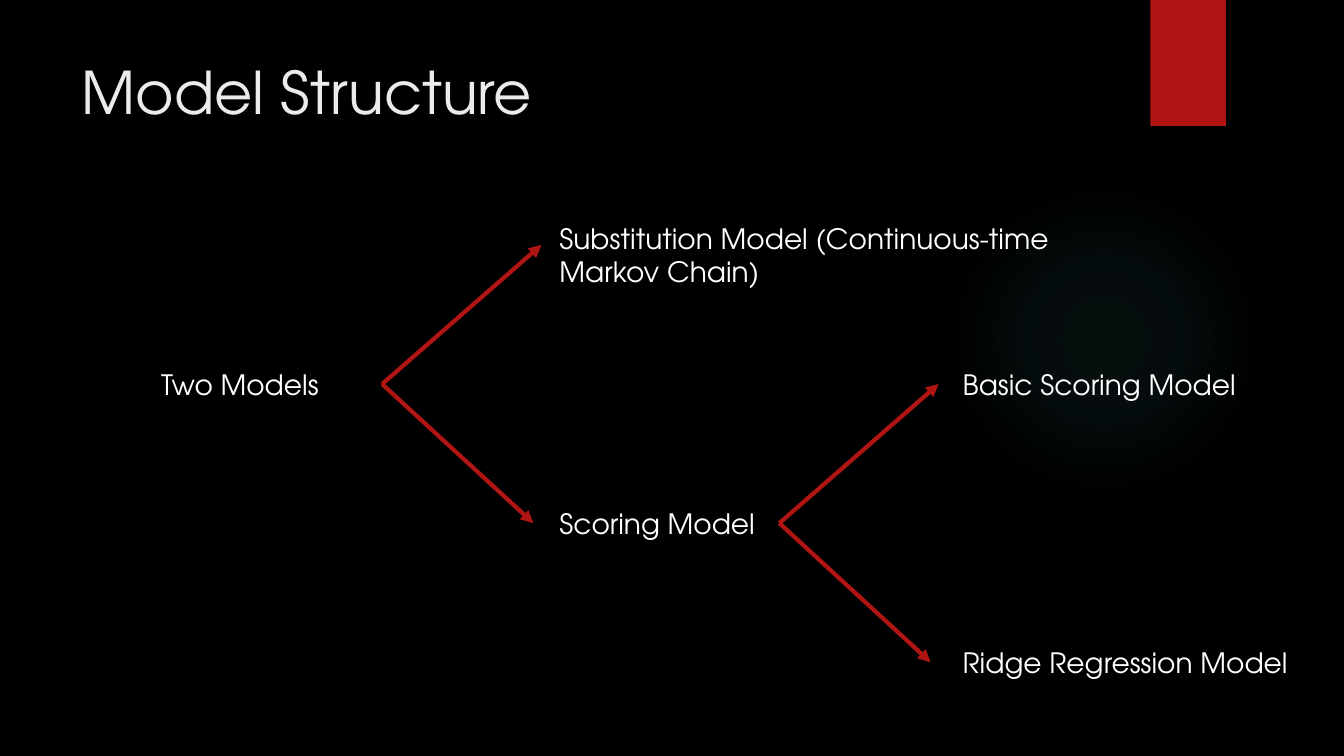
from dataclasses import dataclass

from lxml.etree import SubElement
from pptx import Presentation
from pptx.dml.color import RGBColor
from pptx.enum.shapes import MSO_CONNECTOR, MSO_SHAPE
from pptx.enum.text import MSO_ANCHOR
from pptx.oxml import parse_xml
from pptx.oxml.ns import nsdecls, qn
from pptx.slide import Slide
from pptx.util import Inches, Pt

FONT = "TeX Gyre Adventor"
RED = "B01513"
WHITE = "FFFFFF"
COLUMNS = (1.5, 5.45, 9.45)
FIRST_ROW = 2.43
ROW_PITCH = 1.38


@dataclass(frozen=True)
class Label:
    text: str
    column: int
    row: float
    width: float
    height: float = 0.46


@dataclass(frozen=True)
class Fork:
    x: float
    row: int


LABELS = (
    Label("Two Models", 0, 1, 2.29),
    Label("Substitution Model (Continuous-time Markov Chain)", 1, 0.07, 5.55, 0.73),
    Label("Scoring Model", 1, 2, 2.29),
    Label("Basic Scoring Model", 2, 1, 3.61),
    Label("Ridge Regression Model", 2, 3, 3.75),
)
FORKS = (Fork(3.79, 1), Fork(7.73, 2))
BRANCHES = ((-1, 1.58), (1, 1.5))
GLOW_STOPS = ((0, 7), (36, 6), (69, 0))


def rgb(value: str) -> RGBColor:
    return RGBColor.from_string(value)


def row_y(row: float) -> float:
    return FIRST_ROW + row * ROW_PITCH


def add_text(s: Slide, text: str, left: float, top: float, width: float,
             height: float, size: float, color: str, anchor: MSO_ANCHOR) -> None:
    sp = s.shapes.add_textbox(Inches(left), Inches(top), Inches(width), Inches(height))
    tf = sp.text_frame
    tf.word_wrap = True
    tf.vertical_anchor = anchor
    r = tf.paragraphs[0].add_run()
    r.text = text
    r.font.name = FONT
    r.font.size = Pt(size)
    r.font.color.rgb = rgb(color)


def add_label(s: Slide, label: Label) -> None:
    top = row_y(label.row) - label.height / 2
    add_text(s, label.text, COLUMNS[label.column], top, label.width,
             label.height, 20, WHITE, MSO_ANCHOR.MIDDLE)


def add_fork(s: Slide, fork: Fork) -> None:
    for step, reach in BRANCHES:
        c = s.shapes.add_connector(
            MSO_CONNECTOR.STRAIGHT, Inches(fork.x), Inches(row_y(fork.row)),
            Inches(fork.x + reach), Inches(row_y(fork.row + step)))
        c.line.color.rgb = rgb(RED)
        c.line.width = Pt(3)
        SubElement(c.line._get_or_add_ln(), qn("a:tailEnd"), type="triangle")
        SubElement(c._element.spPr, qn("a:effectLst"))


def add_glow(s: Slide) -> None:
    sp = s.shapes.add_shape(MSO_SHAPE.OVAL, Inches(9.41), Inches(1.83),
                            Inches(3.08), Inches(3.08))
    sp.shadow.inherit = False
    sp.line.fill.background()
    stops = "".join(
        f'<a:gs pos="{pos * 1000}"><a:srgbClr val="50B9C1">'
        f'<a:alpha val="{alpha * 1000}"/></a:srgbClr></a:gs>'
        for pos, alpha in GLOW_STOPS)
    gradient = parse_xml(
        f'<a:gradFill {nsdecls("a")}><a:gsLst>{stops}</a:gsLst><a:path path="circle">'
        '<a:fillToRect l="50000" t="50000" r="50000" b="50000"/></a:path></a:gradFill>')
    sp._element.spPr.find(qn("a:prstGeom")).addnext(gradient)


def add_ribbon(s: Slide) -> None:
    sp = s.shapes.add_shape(MSO_SHAPE.RECTANGLE, Inches(11.41), 0,
                            Inches(0.75), Inches(1.25))
    sp.shadow.inherit = False
    sp.fill.solid()
    sp.fill.fore_color.rgb = rgb(RED)
    sp.line.fill.background()


def main() -> None:
    prs = Presentation()
    prs.slide_width, prs.slide_height = Inches(13.33), Inches(7.5)
    s = prs.slides.add_slide(prs.slide_layouts[6])
    s.background.fill.solid()
    s.background.fill.fore_color.rgb = rgb("000000")
    add_glow(s)
    add_ribbon(s)
    add_text(s, "Model Structure", 0.71, 0.5, 10.29, 1.53, 42, "EBEBEB", MSO_ANCHOR.TOP)
    for fork in FORKS:
        add_fork(s, fork)
    for label in LABELS:
        add_label(s, label)
    prs.save("out.pptx")


if __name__ == "__main__":
    main()
